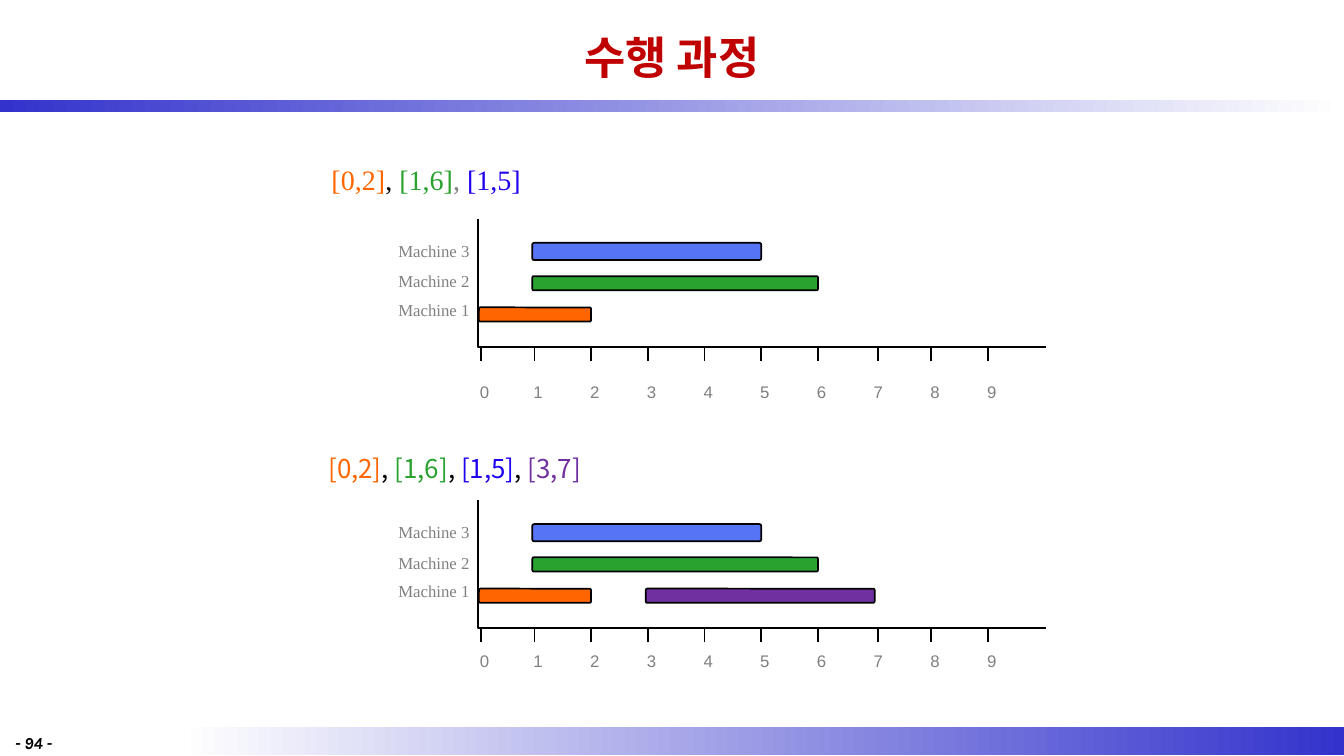
from lxml import etree
from pptx import Presentation
from pptx.dml.color import RGBColor
from pptx.enum.shapes import MSO_CONNECTOR, MSO_SHAPE
from pptx.enum.text import MSO_ANCHOR, PP_ALIGN
from pptx.oxml.ns import qn
from pptx.util import Inches, Pt

SERIF, SANS, KOREAN = "Times New Roman", "Arial", "Noto Sans CJK KR"
BLACK, WHITE, GREY, NAVY = "000000", "FFFFFF", "808080", "3333CC"
ORANGE, GREEN, BLUE, PURPLE = "FF6600", "2AA230", "1F03EF", "7030A0"
AXIS_LEFT, AXIS_RIGHT, AXIS_HEIGHT = 4.74, 10.37, 1.27
ZERO_X, ONE_X, UNIT = 4.77, 5.3, 0.5625
TICK_SHIFT = {7: 0.03}
LABEL_OFFSETS = {1: 0.8, 2: 0.52, 3: 0.22}
BAR_OFFSETS = {1: (0.88, 0.14), 2: (0.57, 0.14), 3: (0.24, 0.17)}
JOBS = [(3, 1, 5, "5674F6"), (2, 1, 6, GREEN), (1, 0, 2, ORANGE)]


def rgb(value):
    return RGBColor.from_string(value)


def box(x, y, w, h):
    return [Inches(v) for v in (x, y, w, h)]


def time_x(t):
    return ONE_X + UNIT * (t - 1) if t else ZERO_X


def add_run(p, text, color, **fmt):
    r = p.add_run()
    r.text = text
    for name, value in fmt.items():
        setattr(r.font, name, value)
    r.font.color.rgb = rgb(color)
    ea = etree.SubElement(r.font._element, qn("a:ea"))
    ea.set("typeface", fmt["name"])


def add_text(s, place, runs, inset=True, wrap=True, **fmt):
    tf = s.shapes.add_textbox(*box(*place)).text_frame
    tf.word_wrap = wrap
    if not inset:
        for side in ("left", "top", "right", "bottom"):
            setattr(tf, "margin_" + side, 0)
    p = tf.paragraphs[0]
    for text, color in runs:
        add_run(p, text, color, **fmt)
    return p


def add_heading(s, place, runs, spacing, **fmt):
    p = add_text(s, place, runs, **fmt)
    p.level = 1
    p.line_spacing = spacing
    p.space_before = Pt(0)
    pPr = p._p.get_or_add_pPr()
    pPr.set("marL", str(Inches(0.29)))
    pPr.set("indent", "0")


def add_band(s, place, colors):
    sp = s.shapes.add_shape(MSO_SHAPE.RECTANGLE, *box(*place))
    sp.shadow.inherit = False
    sp.line.fill.background()
    sp.fill.gradient()
    sp.fill.gradient_angle = 0
    for stop, color in zip(sp.fill.gradient_stops, colors):
        stop.color.rgb = rgb(color)


def set_outline(sp):
    sp.line.color.rgb = rgb(BLACK)
    sp.line.width = Pt(1.25)


def add_bar(s, top, machine, start, end, color):
    dy, h = BAR_OFFSETS[machine]
    x = time_x(start) - 0.02
    sp = s.shapes.add_shape(MSO_SHAPE.ROUNDED_RECTANGLE,
                            *box(x, top + dy, time_x(end) - x, h))
    sp.adjustments[0] = 0.1
    sp.shadow.inherit = False
    sp.fill.solid()
    sp.fill.fore_color.rgb = rgb(color)
    set_outline(sp)


def add_line(s, x1, y1, x2, y2):
    line = s.shapes.add_connector(MSO_CONNECTOR.STRAIGHT, *box(x1, y1, x2, y2))
    set_outline(line)
    etree.SubElement(line._element.spPr, qn("a:effectLst"))


def add_axes(s, top):
    left, right, bottom = Inches(AXIS_LEFT), Inches(AXIS_RIGHT), Inches(top + AXIS_HEIGHT)
    builder = s.shapes.build_freeform(left, Inches(top))
    builder.add_line_segments([(left, bottom), (right, bottom)], close=False)
    sp = builder.convert_to_shape()
    sp.shadow.inherit = False
    sp.fill.background()
    set_outline(sp)


def add_schedule(s, top, number_top, jobs):
    add_axes(s, top)
    base = top + AXIS_HEIGHT
    for t in range(10):
        x = time_x(t)
        tick = x + TICK_SHIFT.get(t, 0)
        add_line(s, tick, base + 0.14, tick, base)
        if t:
            add_line(s, x - UNIT / 2, base, x + UNIT / 2, base)
        add_text(s, (x - 0.01, number_top, 0.09, 0.2), [(str(t), GREY)],
                 inset=False, wrap=False, name=SANS, size=Pt(12))
    for machine, dy in LABEL_OFFSETS.items():
        add_text(s, (3.95, top + dy, 0.72, 0.2), [(f"Machine {machine}", GREY)],
                 inset=False, wrap=False, name=SERIF, size=Pt(12))
    for job in jobs:
        add_bar(s, top, *job)


def add_title(s, text):
    title = s.shapes.title
    title.left, title.top, title.width, title.height = box(1, 0.05, 11.33, 1.03)
    tf = title.text_frame
    tf.vertical_anchor = MSO_ANCHOR.MIDDLE
    p = tf.paragraphs[0]
    p.alignment = PP_ALIGN.CENTER
    add_run(p, text, "C00000", name=KOREAN, size=Pt(32), bold=True)


def main():
    prs = Presentation()
    prs.slide_width, prs.slide_height = Inches(13.33), Inches(7.5)
    s = prs.slides.add_slide(prs.slide_layouts[5])
    add_band(s, (1.78, 7.21, 11.55, 0.28), (WHITE, NAVY))
    add_band(s, (0, 0.99, 13.33, 0.12), (NAVY, WHITE))
    add_title(s, "수행 과정")
    add_text(s, (0.05, 7.22, 0.95, 0.24), [("- 94 -", BLACK)],
             name="Karla", size=Pt(12), bold=True, italic=True)
    first = [(" [0,2]", ORANGE), (", ", BLACK), ("[1,6]", GREEN)]
    add_heading(s, (2.83, 1.55, 2.75, 0.39),
                first + [(",", GREY), (" [1,5]", BLUE)],
                1.05, name=SERIF, size=Pt(20))
    add_schedule(s, 2.17, 3.79, JOBS)
    add_heading(s, (2.81, 4.49, 4.25, 0.39),
                first + [(",", BLACK), (" [1,5]", BLUE), (", ", BLACK), ("[3,7]", PURPLE)],
                0.85, name=KOREAN, size=Pt(18.5))
    add_schedule(s, 4.96, 6.46, JOBS + [(1, 3, 7, PURPLE)])
    prs.save("out.pptx")


if __name__ == "__main__":
    main()
